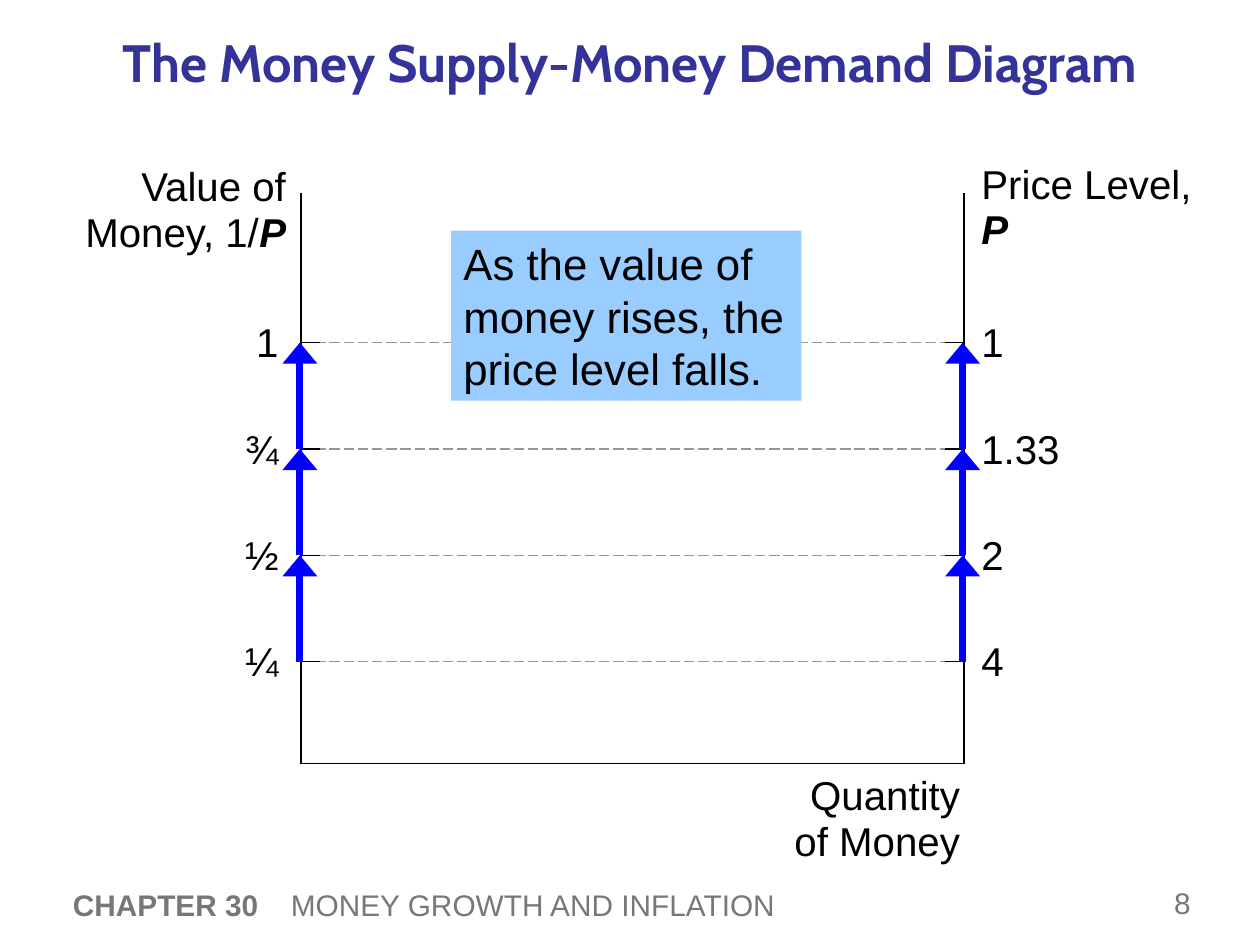
from typing import NamedTuple

from lxml import etree
from pptx import Presentation
from pptx.dml.color import RGBColor
from pptx.enum.dml import MSO_LINE
from pptx.enum.shapes import MSO_CONNECTOR, MSO_SHAPE
from pptx.enum.text import MSO_ANCHOR, MSO_AUTO_SIZE, PP_ALIGN
from pptx.oxml.ns import qn
from pptx.util import Inches, Pt

LEFT, CENTER, RIGHT = PP_ALIGN.LEFT, PP_ALIGN.CENTER, PP_ALIGN.RIGHT
TOP, MIDDLE = MSO_ANCHOR.TOP, MSO_ANCHOR.MIDDLE
STRAIGHT, LONG_DASH = MSO_CONNECTOR.STRAIGHT, MSO_LINE.LONG_DASH

BLACK = RGBColor(0x00, 0x00, 0x00)
BLUE = RGBColor(0x00, 0x00, 0xFF)
GRAY = RGBColor(0x77, 0x77, 0x77)
GUIDE_GRAY = RGBColor(0x96, 0x96, 0x96)
NAVY = RGBColor(0x33, 0x33, 0x99)
SKY = RGBColor(0x99, 0xCC, 0xFF)

# Diagram geometry, in inches
LEFT_AXIS, RIGHT_AXIS = 2.39, 7.65
AXIS_TOP, AXIS_BOTTOM = 1.53, 6.06
FIRST_LEVEL, LEVEL_GAP = 2.72, 0.844
TICK = 0.15


class Span(NamedTuple):
    text: str
    bold: bool = False
    italic: bool = False


class Level(NamedTuple):
    money_value: str
    price: str


LEVELS = [Level("1", "1"), Level("¾", "1.33"), Level("½", "2"), Level("¼", "4")]


def write(shape, *spans: Span, size: float, color: RGBColor = BLACK,
          font: str = "Arial", align=LEFT, anchor=TOP,
          line_spacing: float = 1.0):
    """Fill a shape with one paragraph of formatted spans."""
    frame = shape.text_frame
    frame.word_wrap = True
    frame.auto_size = MSO_AUTO_SIZE.NONE
    frame.vertical_anchor = anchor
    para = frame.paragraphs[0]
    para.alignment = align
    para.line_spacing = line_spacing
    for span in spans:
        run = para.add_run()
        run.text = span.text
        run.font.name = font
        run.font.size = Pt(size)
        run.font.bold = span.bold
        run.font.italic = span.italic
        run.font.color.rgb = color
    return para


def add_text(slide, left: float, top: float, width: float, height: float,
             *spans: Span, **text_format):
    box = slide.shapes.add_textbox(Inches(left), Inches(top),
                                   Inches(width), Inches(height))
    return write(box, *spans, **text_format)


def add_line(slide, x1: float, y1: float, x2: float, y2: float,
             color: RGBColor = BLACK, width: float = 0.75,
             dash=None, arrow: bool = False) -> None:
    line = slide.shapes.add_connector(STRAIGHT, Inches(x1), Inches(y1),
                                      Inches(x2), Inches(y2))
    line.line.color.rgb = color
    line.line.width = Pt(width)
    if dash is not None:
        line.line.dash_style = dash
    properties = line._element.spPr
    if arrow:
        etree.SubElement(properties.find(qn("a:ln")), qn("a:tailEnd"),
                         type="triangle", w="lg", len="med")
    etree.SubElement(properties, qn("a:effectLst"))


def add_footer(slide) -> None:
    add_text(slide, 9.22, 6.96, 0.67, 0.41, Span("8"),
             size=17, color=GRAY, anchor=MIDDLE)
    para = add_text(slide, 0.48, 6.96, 8.59, 0.44,
                    Span("CHAPTER 30", bold=True),
                    Span("\tMONEY GROWTH AND INFLATION"),
                    size=17, color=GRAY, anchor=MIDDLE)
    tabs = etree.SubElement(para._p.get_or_add_pPr(), qn("a:tabLst"))
    etree.SubElement(tabs, qn("a:tab"), pos=str(Inches(1.73)), algn="l")


def add_title(slide) -> None:
    title = slide.shapes.title
    title.left, title.top = Inches(0), Inches(0.13)
    title.width, title.height = Inches(10), Inches(0.71)
    write(title, Span("The Money Supply-Money Demand Diagram", bold=True),
          size=30, color=NAVY, font="Cabin", align=CENTER, anchor=MIDDLE)


def add_diagram(slide) -> None:
    heights = [FIRST_LEVEL + LEVEL_GAP * i for i in range(len(LEVELS))]

    # Guides across the diagram
    for y in heights:
        add_line(slide, LEFT_AXIS, y, RIGHT_AXIS, y, GUIDE_GRAY, dash=LONG_DASH)

    # Axes
    add_line(slide, LEFT_AXIS, AXIS_BOTTOM, RIGHT_AXIS, AXIS_BOTTOM)
    for x in (LEFT_AXIS, RIGHT_AXIS):
        add_line(slide, x, AXIS_BOTTOM, x, AXIS_TOP)

    # Axis titles
    symbol = Span("P", bold=True, italic=True)
    add_text(slide, 0.39, 1.26, 1.98, 0.83, Span("Value of Money, 1/"), symbol,
             size=23, align=RIGHT, line_spacing=0.95)
    add_text(slide, 7.69, 1.24, 1.98, 0.83, Span("Price Level, "), symbol,
             size=23, line_spacing=0.95)
    add_text(slide, 5.98, 6.09, 1.74, 0.83, Span("Quantity of Money"),
             size=23, align=RIGHT, line_spacing=0.95)

    # Ticks and their values
    for level, y in zip(LEVELS, heights):
        add_line(slide, LEFT_AXIS, y, LEFT_AXIS + TICK, y)
        add_line(slide, RIGHT_AXIS - TICK, y, RIGHT_AXIS, y)
        add_text(slide, 1.8, y - 0.25, 0.51, 0.49, Span(level.money_value),
                 size=23, align=RIGHT)
        add_text(slide, 7.69, y - 0.25, 1.07, 0.49, Span(level.price), size=23)


def add_callout(slide) -> None:
    callout = slide.shapes.add_shape(MSO_SHAPE.RECTANGLE, Inches(3.58),
                                     Inches(1.83), Inches(2.78), Inches(1.35))
    callout.shadow.inherit = False
    callout.fill.solid()
    callout.fill.fore_color.rgb = SKY
    callout.line.fill.background()
    write(callout, Span("As the value of money rises, the price level falls."),
          size=25)


def add_arrows(slide) -> None:
    for x in (LEFT_AXIS - 0.01, RIGHT_AXIS - 0.01):
        for i in reversed(range(len(LEVELS) - 1)):
            tip = FIRST_LEVEL + LEVEL_GAP * i
            add_line(slide, x, tip + LEVEL_GAP, x, tip, BLUE, 4, arrow=True)


def main() -> None:
    deck = Presentation()
    deck.slide_width, deck.slide_height = Inches(10), Inches(7.5)
    slide = deck.slides.add_slide(deck.slide_layouts.get_by_name("Title Only"))
    add_footer(slide)
    add_title(slide)
    add_diagram(slide)
    add_callout(slide)
    add_arrows(slide)
    deck.save("out.pptx")


if __name__ == "__main__":
    main()
